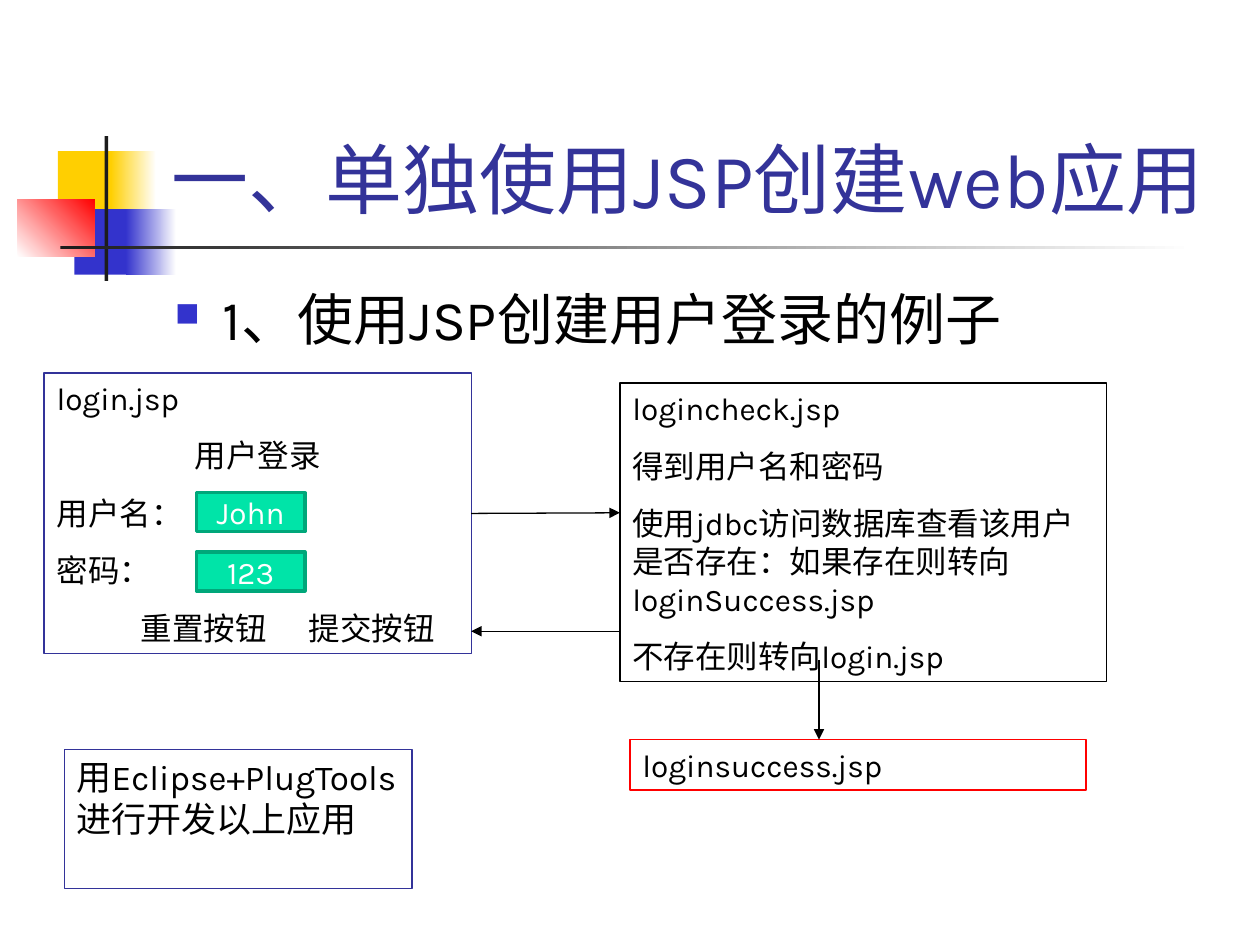
from lxml.etree import SubElement
from pptx import Presentation
from pptx.dml.color import RGBColor
from pptx.enum.shapes import MSO_CONNECTOR as Link, MSO_SHAPE as Shape
from pptx.enum.text import MSO_ANCHOR as Anchor, PP_ALIGN as Align
from pptx.oxml.ns import qn
from pptx.util import Pt

PX = 9144  # 100 px to the inch
FONT = "Karla"
NAVY = RGBColor(0x33, 0x33, 0x99)
BLUE = RGBColor(0x33, 0x33, 0xCC)
GOLD = RGBColor(0xFF, 0xCF, 0x01)
RED = RGBColor(0xFF, 0x00, 0x00)
INK = RGBColor(0x1C, 0x1C, 0x1C)
BLACK = RGBColor(0x00, 0x00, 0x00)
WHITE = RGBColor(0xFF, 0xFF, 0xFF)
MINT = RGBColor(0x00, 0xE4, 0xA8)
GREEN = RGBColor(0x00, 0xA7, 0x7A)


def emu(*sizes):
    return [size * PX for size in sizes]


def write(frame, lines, size, color, gap=0, align=Align.LEFT):
    frame.word_wrap = True
    for i, line in enumerate(lines):
        para = frame.paragraphs[0] if i == 0 else frame.add_paragraph()
        para.text = line
        para.alignment = align
        if i:
            para.space_before = Pt(gap)
        style(para, size, color)


def style(para, size, color):
    font = para.font
    font.name, font.size, font.color.rgb = FONT, Pt(size), color


def add_rect(slide, box, fill=None, line=None, width=0.75):
    rect = slide.shapes.add_shape(Shape.RECTANGLE, *emu(*box))
    rect.shadow.inherit = False
    if fill is None:
        rect.fill.background()
    else:
        rect.fill.solid()
        rect.fill.fore_color.rgb = fill
    if line is None:
        rect.line.fill.background()
    else:
        rect.line.color.rgb = line
        rect.line.width = Pt(width)
    return rect


def add_fade(slide, box, start, end, angle=0):
    """Rectangle with a two-colour gradient, angle counter-clockwise."""
    fill = add_rect(slide, box).fill
    fill.gradient()
    fill.gradient_angle = angle
    for stop, color in zip(fill.gradient_stops, (start, end)):
        stop.color.rgb = color


def add_motif(slide, x, y):
    """Coloured squares with the crossing bars, from the top left corner."""
    add_rect(slide, (x + 32, y + 12, 48, 52), GOLD)
    add_fade(slide, (x + 74, y + 12, 36, 52), GOLD, WHITE)
    add_rect(slide, (x + 45, y + 58, 46, 52), BLUE)
    add_fade(slide, (x + 86, y + 58, 40, 52), BLUE, WHITE)
    add_fade(slide, (x, y + 50, 61, 46), WHITE, RED, 45)
    add_rect(slide, (x + 69, y, 3, 115), INK)
    add_fade(slide, (x + 34, y + 87, 900, 3), INK, WHITE)


def add_title(slide, box, text):
    frame = slide.shapes.add_textbox(*emu(*box)).text_frame
    frame.vertical_anchor = Anchor.BOTTOM
    write(frame, [text], 44, NAVY)


def add_point(slide, box, text):
    """Heading line with a square bullet."""
    frame = slide.shapes.add_textbox(*emu(*box)).text_frame
    frame.word_wrap = True
    para = frame.paragraphs[0]
    para.text = text
    props = para._p.get_or_add_pPr()
    props.set("marL", str(38 * PX))
    props.set("indent", str(-38 * PX))
    tint = SubElement(props, qn("a:buClr"))
    SubElement(tint, qn("a:srgbClr"), val=str(BLUE))
    SubElement(props, qn("a:buSzPct"), val="60000")
    SubElement(props, qn("a:buChar"), char="■")
    style(para, 32, BLACK)


def add_panel(slide, box, line, lines, size=18):
    panel = add_rect(slide, box, line=line)
    panel.text_frame.vertical_anchor = Anchor.TOP
    write(panel.text_frame, lines, size, BLACK, 11.2)
    return panel


def add_login(slide, box):
    x, y = box[:2]
    lines = ["login.jsp", "用户登录", "用户名：", "密码："]
    panel = add_panel(slide, box, NAVY, lines)
    frame = panel.text_frame
    frame.paragraphs[1].alignment = Align.CENTER

    row = frame.add_paragraph()
    row.text = "重置按钮\t提交按钮"
    row.alignment = Align.LEFT
    row.space_before = Pt(11.2)
    props = row._p.get_or_add_pPr()
    props.set("marL", "0")
    props.set("indent", str(67 * PX))
    tabs = SubElement(props, qn("a:tabLst"))
    SubElement(tabs, qn("a:tab"), pos=str(184 * PX), algn="l")
    style(row, 18, BLACK)

    for i, value in enumerate(("John", "123")):
        spot = (x + 121, y + 95 + 47 * i, 86, 31)
        field = add_rect(slide, spot, MINT, GREEN, 2)
        field.text_frame.vertical_anchor = Anchor.MIDDLE
        write(field.text_frame, [value], 18, WHITE, align=Align.CENTER)
    return panel


def add_arrow(slide, start, end):
    arrow = slide.shapes.add_connector(Link.STRAIGHT, *emu(*start, *end))
    arrow.line.color.rgb = BLACK
    arrow.line.width = Pt(0.75)
    SubElement(arrow.line._get_or_add_ln(), qn("a:tailEnd"), type="triangle")
    SubElement(arrow._element.spPr, qn("a:effectLst"))
    return arrow


def add_flow(slide, x, y):
    """Login pages and the arrows between them."""
    login = add_login(slide, (x, y, 339, 223))
    add_panel(slide, (x + 457, y + 8, 386, 237), BLACK, [
        "logincheck.jsp",
        "得到用户名和密码",
        "使用jdbc访问数据库查看该用户是否存在：如果存在则转向loginSuccess.jsp",
        "不存在则转向login.jsp",
    ])
    add_panel(slide, (x + 465, y + 291, 362, 40), RED, ["loginsuccess.jsp"])
    add_panel(slide, (x + 16, y + 299, 276, 110), NAVY,
              ["用Eclipse+PlugTools进行开发以上应用"], 20)

    submit = add_arrow(slide, (x + 339, y + 111), (x + 457, y + 111))
    submit.begin_connect(login, 3)
    add_arrow(slide, (x + 457, y + 205), (x + 339, y + 205))
    add_arrow(slide, (x + 615, y + 228), (x + 615, y + 291))


def main():
    deck = Presentation()
    deck.slide_width, deck.slide_height = emu(1000, 750)
    slide = deck.slides.add_slide(deck.slide_layouts[6])
    add_motif(slide, 14, 108)
    add_title(slide, (126, 23, 852, 160), "一、单独使用JSP创建web应用")
    add_point(slide, (129, 221, 850, 68), "1、使用JSP创建用户登录的例子")
    add_flow(slide, 35, 296)
    deck.save("out.pptx")


if __name__ == "__main__":
    main()
